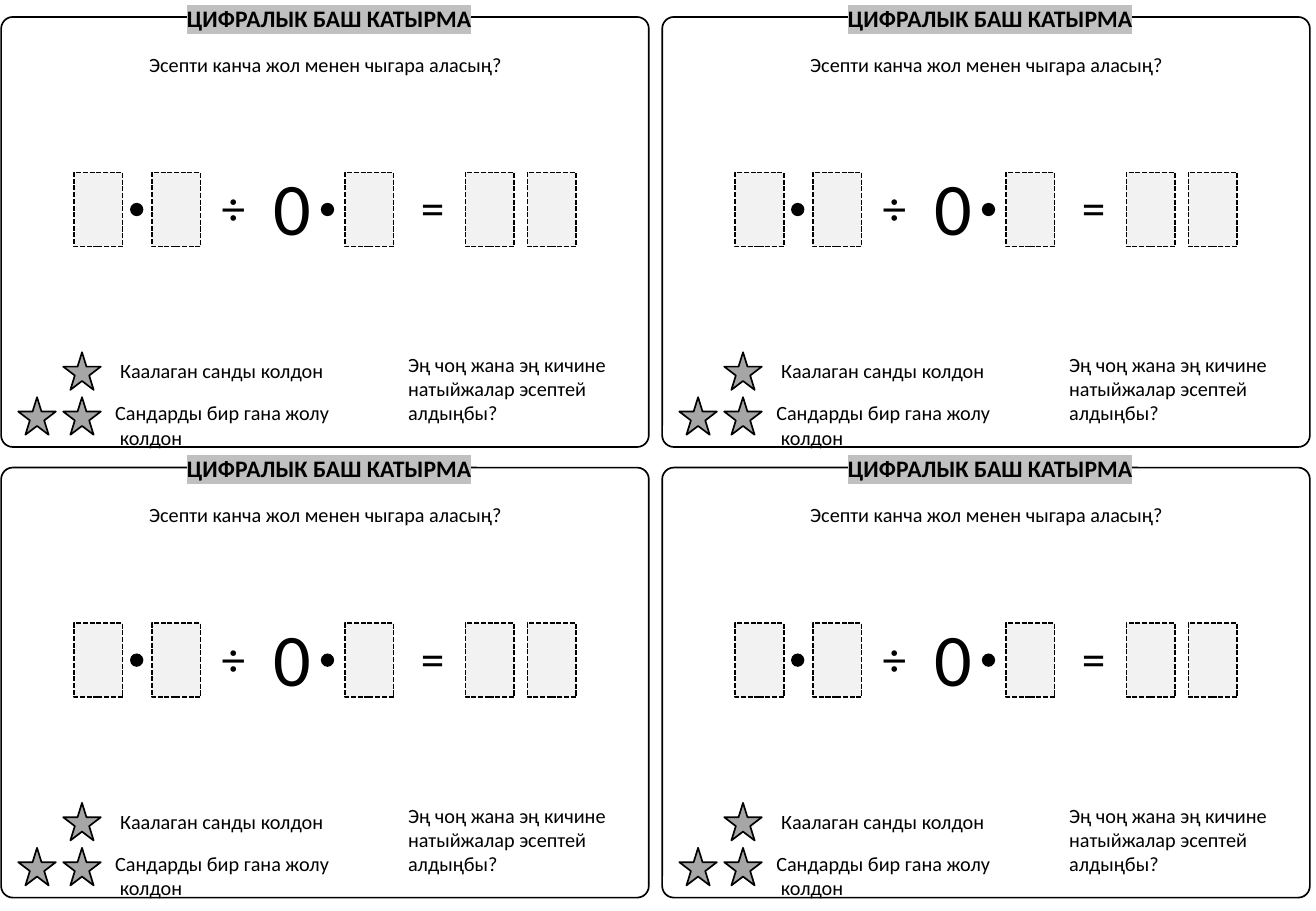
from itertools import product

from lxml import etree
from pptx import Presentation
from pptx.dml.color import RGBColor
from pptx.enum.dml import MSO_LINE
from pptx.enum.shapes import MSO_SHAPE
from pptx.enum.text import MSO_AUTO_SIZE, PP_ALIGN
from pptx.oxml.ns import qn
from pptx.util import Inches, Pt

ROUNDED, RECT = MSO_SHAPE.ROUNDED_RECTANGLE, MSO_SHAPE.RECTANGLE
STAR, OVAL = MSO_SHAPE.STAR_5_POINT, MSO_SHAPE.OVAL
DASH = MSO_LINE.SQUARE_DOT
LEFT, CENTER = PP_ALIGN.LEFT, PP_ALIGN.CENTER
FIT = MSO_AUTO_SIZE.SHAPE_TO_FIT_TEXT
BLACK, STAR_GRAY, BOX_GRAY, TITLE_GRAY = "000000", "A6A6A6", "F2F2F2", "C0C0C0"

TITLE = ("ЦИФРАЛЫК БАШ КАТЫРМА", (1.44, 0.03, 2.56, 0.24))
TEXTS = [
    (["Эсепти канча жол менен чыгара аласың?"], (1.11, 0.38, 3.14, 0.3), 12, CENTER),
    (["Каалаган санды колдон"], (0.89, 2.9, 1.89, 0.3), 12, LEFT),
    (["Сандарды бир гана жолу", " колдон"], (0.85, 3.25, 1.98, 0.5), 12, LEFT),
    (["Эң чоң жана эң кичине", "натыйжалар эсептей", "алдыңбы?"],
     (3.26, 2.85, 1.89, 0.71), 12, LEFT),
    (["÷"], (1.72, 1.42, 0.4, 0.57), 28, CENTER),
    (["="], (3.36, 1.42, 0.4, 0.57), 28, CENTER),
    (["0"], (2.15, 1.28, 0.51, 0.84), 44, LEFT),
]
STARS = [(0.52, 2.9), (0.52, 3.27), (0.15, 3.27)]
DIGIT_BOXES = [0.61, 1.25, 2.84, 3.83, 4.34]
POINTS = [1.07, 2.64]
CARD_X, CARD_Y = (0, 5.44), (0, 3.71)


def color(value):
    return RGBColor.from_string(value)


def place(box, dx, dy):
    x, y, w, h = box
    return [Inches(v) for v in (x + dx, y + dy, w, h)]


def add_shape(s, kind, area, fill=None, line=BLACK, dash=None):
    sp = s.shapes.add_shape(kind, *area)
    sp.shadow.inherit = False
    if fill:
        sp.fill.solid()
        sp.fill.fore_color.rgb = color(fill)
    else:
        sp.fill.background()
    if line:
        sp.line.color.rgb = color(line)
        sp.line.width = Pt(1)
        if dash:
            sp.line.dash_style = dash
    else:
        sp.line.fill.background()
    return sp


def add_text(s, lines, area, size, align=LEFT, bold=False):
    tf = s.shapes.add_textbox(*area).text_frame
    tf.word_wrap = False
    tf.auto_size = FIT
    for i, line in enumerate(lines):
        p = tf.add_paragraph() if i else tf.paragraphs[0]
        p.alignment = align
        p.add_run().text = line
        p.font.name = "Calibri"
        p.font.size = Pt(size)
        p.font.bold = bold
        p.font.color.rgb = color(BLACK)
    return tf


def add_title(s, dx, dy):
    text, box = TITLE
    tf = add_text(s, [text], place(box, dx, dy), 14, bold=True)
    tf.margin_top = tf.margin_bottom = 0
    r = tf.paragraphs[0].runs[0]
    highlight = etree.SubElement(r.font._element, qn("a:highlight"))
    etree.SubElement(highlight, qn("a:srgbClr"), val=TITLE_GRAY)


def add_card(s, dx, dy):
    frame = add_shape(s, ROUNDED, place((0.01, 0.14, 5.33, 3.54), dx, dy))
    frame.adjustments[0] = 0.027
    add_title(s, dx, dy)
    for x, y in STARS:
        add_shape(s, STAR, place((x, y, 0.31, 0.31), dx, dy), STAR_GRAY)
    for x in DIGIT_BOXES:
        add_shape(s, RECT, place((x, 1.42, 0.4, 0.61), dx, dy), BOX_GRAY, dash=DASH)
    for x in POINTS:
        add_shape(s, OVAL, place((x, 1.67, 0.11, 0.11), dx, dy), BLACK, line=None)
    for lines, box, size, align in TEXTS:
        add_text(s, lines, place(box, dx, dy), size, align)


def main():
    """Build a sheet of four identical number puzzle cards."""
    prs = Presentation()
    prs.slide_width, prs.slide_height = Inches(10.83), Inches(7.5)
    s = prs.slides.add_slide(prs.slide_layouts[6])
    for dy, dx in product(CARD_Y, CARD_X):
        add_card(s, dx, dy)
    prs.save("out.pptx")


if __name__ == "__main__":
    main()
